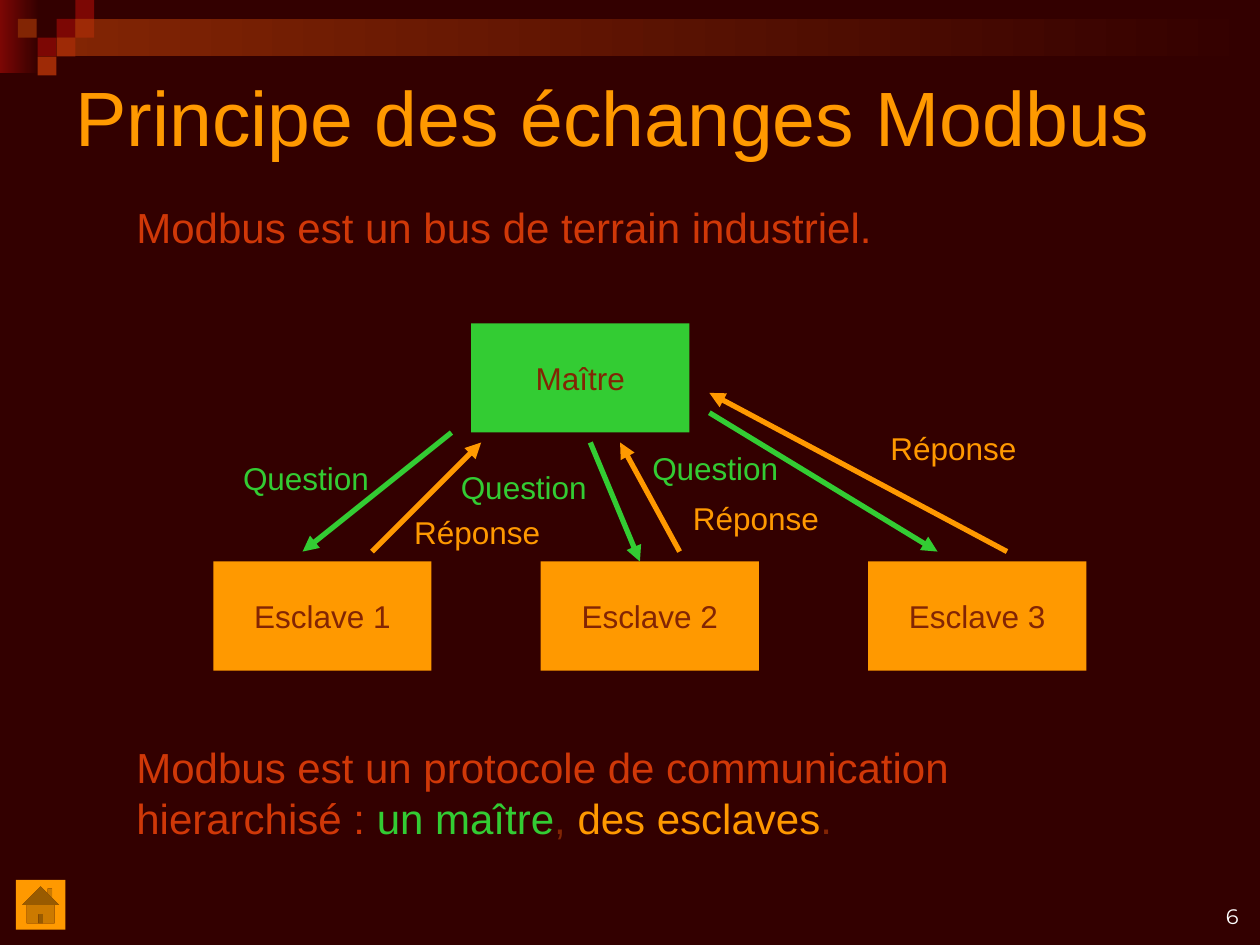
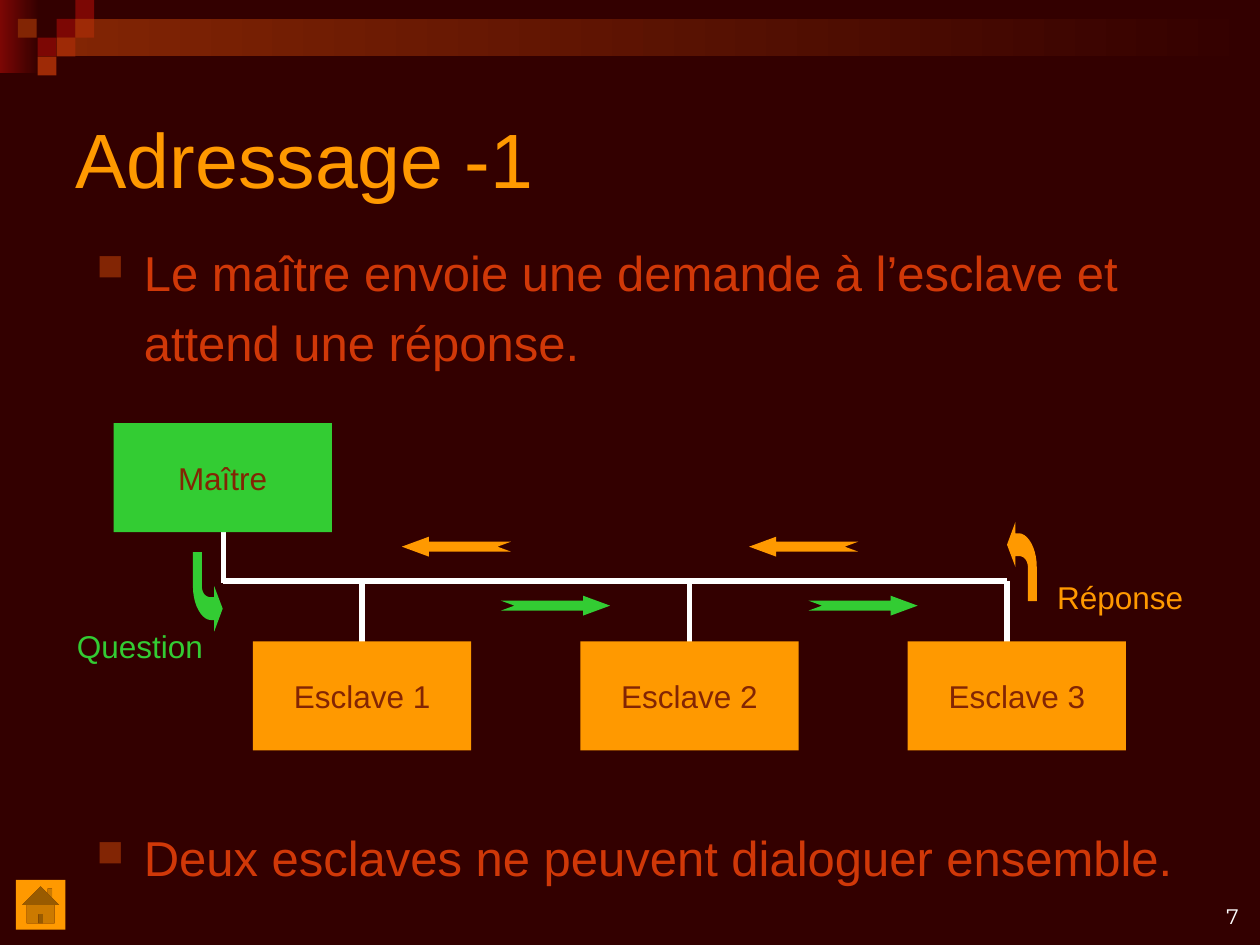
"""Build two slides on Modbus exchanges and addressing."""
from dataclasses import dataclass

from lxml import etree
from pptx import Presentation
from pptx.dml.color import RGBColor
from pptx.enum.shapes import MSO_CONNECTOR, MSO_SHAPE
from pptx.enum.text import MSO_ANCHOR, MSO_AUTO_SIZE, PP_ALIGN
from pptx.oxml.ns import qn
from pptx.util import Cm, Pt

RECT = MSO_SHAPE.RECTANGLE
NOTCHED = MSO_SHAPE.NOTCHED_RIGHT_ARROW
HOME = MSO_SHAPE.ACTION_BUTTON_HOME
STRAIGHT = MSO_CONNECTOR.STRAIGHT
TOP, MIDDLE, BOTTOM = MSO_ANCHOR.TOP, MSO_ANCHOR.MIDDLE, MSO_ANCHOR.BOTTOM
LEFT, CENTER, RIGHT = PP_ALIGN.LEFT, PP_ALIGN.CENTER, PP_ALIGN.RIGHT
NO_AUTOFIT = MSO_AUTO_SIZE.NONE


@dataclass(frozen=True)
class Theme:
    """Colours, fonts and type sizes."""
    back: str = "330000"
    text: str = "D03808"
    brown: str = "822504"
    red: str = "7C0704"
    rust: str = "9E2A06"
    master: str = "33CC33"
    slave: str = "FF9900"
    white: str = "FFFFFF"
    font: str = "Arial"
    number_font: str = "Montserrat"
    title: int = 44
    bullet: int = 28
    body: int = 24
    label: int = 18
    number: int = 12
    line: int = 3


T = Theme()

BANDS = [((0, 0, 0.79, 1.47), T.red), ((1.14, 0.38, 24.26, 0.76), T.brown)]
TILE = 0.38
TILES = [(1.14, 0.38, T.red), (1.52, 0, T.red), (1.52, 0.38, T.rust),
         (0.76, 0.76, T.red), (0.36, 0.38, T.brown), (1.14, 0.76, T.rust),
         (0.76, 1.14, T.rust)]

SLAVES = ["Esclave 1", "Esclave 2", "Esclave 3"]
BOX_W, BOX_H, PITCH = 4.4, 2.2, 6.6
LABELS = {T.master: "Question", T.slave: "Réponse"}

EXCHANGES = {
    "title": "Principe des échanges Modbus",
    "intro": [("Modbus est un bus de terrain industriel.", T.text)],
    "rule": [("Modbus est un protocole de communication hierarchisé : ", T.text),
             ("un maître", T.master), (", ", T.brown),
             ("des esclaves", T.slave), (".", T.brown)],
    "arrows": [((9.1, 8.72), (6.1, 11.12), T.master),
               ((11.9, 8.92), (12.9, 11.32), T.master),
               ((14.3, 8.32), (18.9, 11.12), T.master),
               ((7.5, 11.12), (9.7, 8.92), T.slave),
               ((13.7, 11.12), (12.5, 8.92), T.slave),
               ((20.3, 11.12), (14.3, 7.92), T.slave)],
    "labels": [(4.65, 9.12, T.master), (8.1, 10.21, T.slave),
               (9.04, 9.32, T.master), (13.72, 9.93, T.slave),
               (12.9, 8.92, T.master), (17.7, 8.53, T.slave)],
}

ADDRESSING = {
    "title": "Adressage -1",
    "bullets": [
        (4.52, 3.2, "Le maître envoie une demande à l’esclave et attend une réponse."),
        (16.33, 2.01, "Deux esclaves ne peuvent dialoguer ensemble.")],
    "flows": [(10.1, 12.01, T.master), (16.3, 12.01, T.master),
              (15.1, 10.82, T.slave), (8.1, 10.82, T.slave)],
    "hooks": [(3.89, 11.13, T.master), (20.3, 10.52, T.slave)],
    "labels": [(1.3, 12.52, T.master), (21.06, 11.53, T.slave)],
}
BUS_Y, BUS_LEFT, BUS_RIGHT = 11.71, 4.5, 20.3
HOOK_OUTER = [(0, 0.69), (0, 1.07), (0.18, 1.37), (0.36, 1.37)]
HOOK_HEAD = [(0.43, 1.37), (0.43, 1.6), (0.6, 1.14), (0.43, 0.69), (0.43, 0.91)]
HOOK_INNER = [(0.36, 0.91), (0.25, 0.91), (0.18, 0.81), (0.18, 0.69)]


def rgb(color):
    return RGBColor.from_string(color)


def cms(*values):
    return [Cm(v) for v in values]


def style(p, size, color, font=T.font, align=LEFT):
    p.alignment = align
    f = p.font
    f.name, f.size, f.color.rgb = font, Pt(size), rgb(color)


def paint(sp, color):
    sp.shadow.inherit = False
    sp.fill.solid()
    sp.fill.fore_color.rgb = rgb(color)
    sp.line.fill.background()
    return sp


def add_shape(s, kind, at, color):
    return paint(s.shapes.add_shape(kind, *cms(*at)), color)


def add_text(s, at, runs, size, wrap=True, anchor=TOP, align=LEFT, font=T.font):
    tf = s.shapes.add_textbox(*cms(*at)).text_frame
    tf.word_wrap, tf.vertical_anchor = wrap, anchor
    p = tf.paragraphs[0]
    style(p, size, runs[0][1], font, align)
    for text, color in runs:
        r = p.add_run()
        r.text = text
        if len(runs) > 1:
            r.font.color.rgb = rgb(color)
    return p


def add_line(s, start, end, color, arrow=False):
    c = s.shapes.add_connector(STRAIGHT, *cms(*start, *end))
    c.line.color.rgb, c.line.width = rgb(color), Pt(T.line)
    if arrow:
        ln = c.line._get_or_add_ln()
        etree.SubElement(ln, qn("a:tailEnd"), type="triangle")
    etree.SubElement(c.element.spPr, qn("a:effectLst"))


def add_box(s, x, y, text, color):
    tf = add_shape(s, RECT, (x, y, BOX_W, BOX_H), color).text_frame
    tf.word_wrap, tf.vertical_anchor = False, MIDDLE
    tf.text = text
    style(tf.paragraphs[0], T.label, T.brown, align=CENTER)


def add_station_boxes(s, master_at, slaves_at):
    add_box(s, *master_at, "Maître", T.master)
    left, top = slaves_at
    for i, name in enumerate(SLAVES):
        add_box(s, left + i * PITCH, top, name, T.slave)


def add_labels(s, labels):
    for x, y, color in labels:
        add_text(s, (x, y, 3.05, 1.02), [(LABELS[color], color)], T.label, wrap=False)


def add_bullet(s, y, h, text):
    p = add_text(s, (1.7, y, 22.83, h), [(text, T.text)], T.bullet)
    p.line_spacing = 1.2
    pPr = p._p.get_or_add_pPr()
    pPr.set("marL", str(Cm(0.95)))
    pPr.set("indent", str(-Cm(0.95)))
    color = etree.Element(qn("a:buClr"))
    etree.SubElement(color, qn("a:srgbClr"), val=T.brown)
    size = etree.Element(qn("a:buSzPct"), val="75000")
    char = etree.Element(qn("a:buChar"), char="■")
    defaults = pPr.find(qn("a:defRPr"))
    for item in (color, size, char):
        defaults.addprevious(item)


def bezier(points, steps=10):
    a, b, c, d = points
    for i in range(steps + 1):
        t = i / steps
        u = 1 - t
        yield tuple(u**3 * a[k] + 3 * u * u * t * b[k] + 3 * u * t * t * c[k]
                    + t**3 * d[k] for k in (0, 1))


def add_hook(s, x, y, color):
    outline = [*bezier(HOOK_OUTER), *HOOK_HEAD, *bezier(HOOK_INNER), (0.18, 0)]
    fb = s.shapes.build_freeform(Cm(x), Cm(y))
    fb.add_line_segments([cms(x + dx, y + dy) for dx, dy in outline])
    return paint(fb.convert_to_shape(), color)


def add_slide(prs, title, number, anchor):
    s = prs.slides.add_slide(prs.slide_layouts[5])
    s.background.fill.solid()
    s.background.fill.fore_color.rgb = rgb(T.back)
    for at, color in BANDS:
        fill = add_shape(s, RECT, at, color).fill
        fill.gradient()
        fill.gradient_angle = 0
        for stop, shade in zip(fill.gradient_stops, (color, T.back)):
            stop.color.rgb = rgb(shade)
    for x, y, color in TILES:
        add_shape(s, RECT, (x, y, TILE, TILE), color)
    sp = s.shapes.title
    sp.left, sp.top, sp.width, sp.height = cms(1.27, 1.27, 22.86, 3.81)
    tf = sp.text_frame
    tf.text = title
    tf.auto_size, tf.vertical_anchor = NO_AUTOFIT, anchor
    style(tf.paragraphs[0], T.title, T.slave)
    add_shape(s, HOME, (0.32, 17.74, 1, 1), T.slave)
    add_text(s, (19.3, 17.58, 5.92, 1.27), [(number, T.white)], T.number,
             anchor=BOTTOM, align=RIGHT, font=T.number_font)
    return s


def build_exchanges(prs):
    s = add_slide(prs, EXCHANGES["title"], "6", TOP)
    add_text(s, (2.5, 3.94, 15.35, 1.27), EXCHANGES["intro"], T.body)
    add_text(s, (2.5, 14.83, 21.2, 2.29), EXCHANGES["rule"], T.body)
    add_station_boxes(s, (9.5, 6.52), (4.3, 11.32))
    for start, end, color in EXCHANGES["arrows"]:
        add_line(s, start, end, color, arrow=True)
    add_labels(s, EXCHANGES["labels"])


def build_addressing(prs):
    s = add_slide(prs, ADDRESSING["title"], "7", MIDDLE)
    add_line(s, (BUS_LEFT, 10.57), (BUS_LEFT, 11.76), T.white)
    add_line(s, (BUS_LEFT, BUS_Y), (BUS_RIGHT, BUS_Y), T.white)
    for x in (7.3, 13.9, BUS_RIGHT):
        add_line(s, (x, BUS_Y), (x, 12.98), T.white)
    for bullet in ADDRESSING["bullets"]:
        add_bullet(s, *bullet)
    add_station_boxes(s, (2.29, 8.53), (5.1, 12.93))
    add_labels(s, ADDRESSING["labels"])
    for x, y, color in ADDRESSING["flows"]:
        sp = add_shape(s, NOTCHED, (x, y, 2.2, 0.4), color)
        sp.adjustments[0], sp.adjustments[1] = 0.5, 1.36
        sp.rotation = 180 if color == T.slave else 0
    for x, y, color in ADDRESSING["hooks"]:
        add_hook(s, x, y, color).rotation = 180 if color == T.slave else 0


def main():
    prs = Presentation()
    prs.slide_width, prs.slide_height = cms(25.4, 19.05)
    build_exchanges(prs)
    build_addressing(prs)
    prs.save("out.pptx")


if __name__ == "__main__":
    main()
